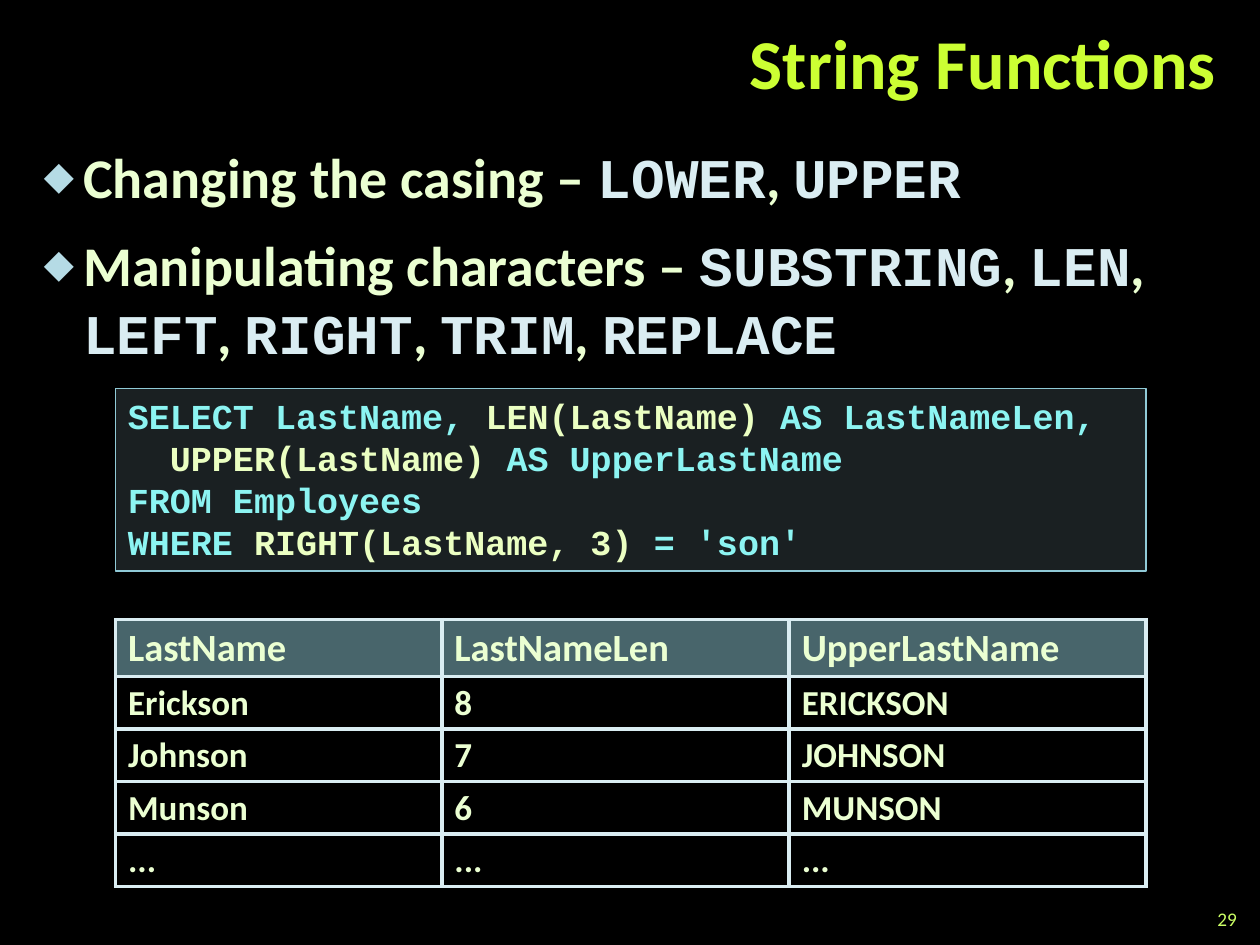
from lxml.etree import SubElement
from pptx import Presentation
from pptx.dml.color import RGBColor
from pptx.enum.shapes import MSO_SHAPE as Shape
from pptx.enum.text import MSO_ANCHOR as Anchor, PP_ALIGN as Align
from pptx.oxml.ns import qn
from pptx.util import Pt

# Content: text pieces are (text, style) pairs
TITLE = "String Functions"
PAGE = "29"
TOPICS = [
    ("Changing the casing", ["LOWER", "UPPER"]),
    ("Manipulating characters",
     ["SUBSTRING", "LEN", "LEFT", "RIGHT", "TRIM", "REPLACE"]),
]
QUERY = [
    [("SELECT LastName, ", "code"), ("LEN(LastName)", "call"),
     (" AS LastNameLen,", "code")],
    [("  ", "code"), ("UPPER(LastName)", "call"),
     (" AS UpperLastName", "code")],
    [("FROM Employees", "code")],
    [("WHERE ", "code"), ("RIGHT(LastName, 3)", "call"),
     (" = 'son'", "code")],
]
RESULT = [
    ("LastName", "LastNameLen", "UpperLastName"),
    ("Erickson", "8", "ERICKSON"),
    ("Johnson", "7", "JOHNSON"),
    ("Munson", "6", "MUNSON"),
    ("...", "...", "..."),
]

SANS, MONO = "Calibri", "Courier New"
THEME = {
    "background": "000000", "bullet": "B5DBE5",
    "code_fill": "B5DBE5", "code_line": "90CAD7",
    "header_fill": "90CAD7", "border": "DAEDF2",
    # font, size, colour, bold
    "title": (SANS, 40, "CCFF33", True),
    "body": (SANS, 32, "EBFFD2", True),
    "function": (MONO, 32, "DAEDF2", True),
    "code": (MONO, 20, "8CF4F2", True),
    "call": (MONO, 20, "EBFFC2", True),
    "header": (SANS, 22, "EBFFD2", True),
    "cell": (SANS, 20, "EBFFD2", True),
    "page": (SANS, 11, "CCFF66", False),
}

# Layout in points
LEFT, WIDTH = 66, 589
COLUMNS = (186.5, 198.5, 204)
HEADER_HEIGHT, ROW_HEIGHT = 32.5, 30
INDENT = 22.5


def color(name):
    return RGBColor.from_string(THEME[name])


def write(paragraph, pieces):
    for text, style in pieces:
        run = paragraph.add_run()
        run.text = text
        font = run.font
        font.name, size, rgb, font.bold = THEME[style]
        font.size = Pt(size)
        font.color.rgb = RGBColor.from_string(rgb)


def tint(fill, name, percent):
    """Solid fill with the given opacity."""
    fill.solid()
    fill.fore_color.rgb = color(name)
    rgb = fill._xPr.find(qn("a:solidFill"))[0]
    SubElement(rgb, qn("a:alpha"), val=str(percent * 1000))


def add_bullet(paragraph):
    props = paragraph._p.get_or_add_pPr()
    props.set("marL", str(Pt(INDENT)))
    props.set("indent", str(-Pt(INDENT)))
    bullet_color = SubElement(props, qn("a:buClr"))
    SubElement(bullet_color, qn("a:srgbClr"), val=THEME["bullet"])
    SubElement(props, qn("a:buSzPct"), val="70000")
    SubElement(props, qn("a:buFont"), typeface=SANS)
    SubElement(props, qn("a:buChar"), char="◆")


def add_borders(cell):
    props = cell._tc.get_or_add_tcPr()
    for index, side in enumerate(("lnL", "lnR", "lnT", "lnB")):
        line = props.makeelement(qn(f"a:{side}"), {"w": str(Pt(2.25))})
        solid = SubElement(line, qn("a:solidFill"))
        SubElement(solid, qn("a:srgbClr"), val=THEME["border"])
        props.insert(index, line)


def add_text(slide, left, top, width, height, anchor=Anchor.TOP):
    frame = slide.shapes.add_textbox(
        Pt(left), Pt(top), Pt(width), Pt(height)).text_frame
    frame.word_wrap = True
    frame.vertical_anchor = anchor
    return frame


def next_paragraph(frame, index):
    return frame.add_paragraph() if index else frame.paragraphs[0]


def main():
    deck = Presentation()
    deck.slide_width, deck.slide_height = Pt(720), Pt(540)
    slide = deck.slides.add_slide(deck.slide_layouts[6])
    slide.background.fill.solid()
    slide.background.fill.fore_color.rgb = color("background")

    # Title
    heading = add_text(slide, 144, 6, 558, 66, Anchor.MIDDLE).paragraphs[0]
    heading.alignment = Align.RIGHT
    heading.line_spacing = Pt(40)
    write(heading, [(TITLE, "title")])

    # Topics with their functions
    topics = add_text(slide, 18, 78, 684, 450)
    for index, (topic, functions) in enumerate(TOPICS):
        paragraph = next_paragraph(topics, index)
        paragraph.space_before = Pt(6 if index else 0)
        paragraph.space_after = Pt(6)
        add_bullet(paragraph)
        pieces = [(f"{topic} – ", "body")]
        for function in functions:
            pieces += [(function, "function"), (", ", "body")]
        write(paragraph, pieces[:-1])

    # Page number
    page = add_text(slide, 678, 516, 36, 18, Anchor.MIDDLE).paragraphs[0]
    page.alignment = Align.RIGHT
    write(page, [(PAGE, "page")])

    # Query
    query = slide.shapes.add_shape(
        Shape.RECTANGLE, Pt(LEFT), Pt(222), Pt(WIDTH), Pt(104.5))
    query.shadow.inherit = False
    tint(query.fill, "code_fill", 15)
    query.line.color.rgb = color("code_line")
    query.line.width = Pt(1)
    query.text_frame.word_wrap = True
    query.text_frame.vertical_anchor = Anchor.TOP
    for index, pieces in enumerate(QUERY):
        paragraph = next_paragraph(query.text_frame, index)
        paragraph.alignment = Align.LEFT
        write(paragraph, pieces)

    # Query result
    heights = [HEADER_HEIGHT] + [ROW_HEIGHT] * (len(RESULT) - 1)
    table = slide.shapes.add_table(
        len(RESULT), len(COLUMNS), Pt(LEFT), Pt(354),
        Pt(WIDTH), Pt(sum(heights))).table
    table.first_row = table.horz_banding = False
    for column, width in zip(table.columns, COLUMNS):
        column.width = Pt(width)
    for row_index, (row, values) in enumerate(zip(table.rows, RESULT)):
        row.height = Pt(heights[row_index])
        for cell, value in zip(row.cells, values):
            if row_index:
                cell.fill.background()
            else:
                tint(cell.fill, "header_fill", 50)
            add_borders(cell)
            paragraph = cell.text_frame.paragraphs[0]
            paragraph.line_spacing = 0.95
            write(paragraph, [(value, "cell" if row_index else "header")])

    deck.save("out.pptx")


if __name__ == "__main__":
    main()
